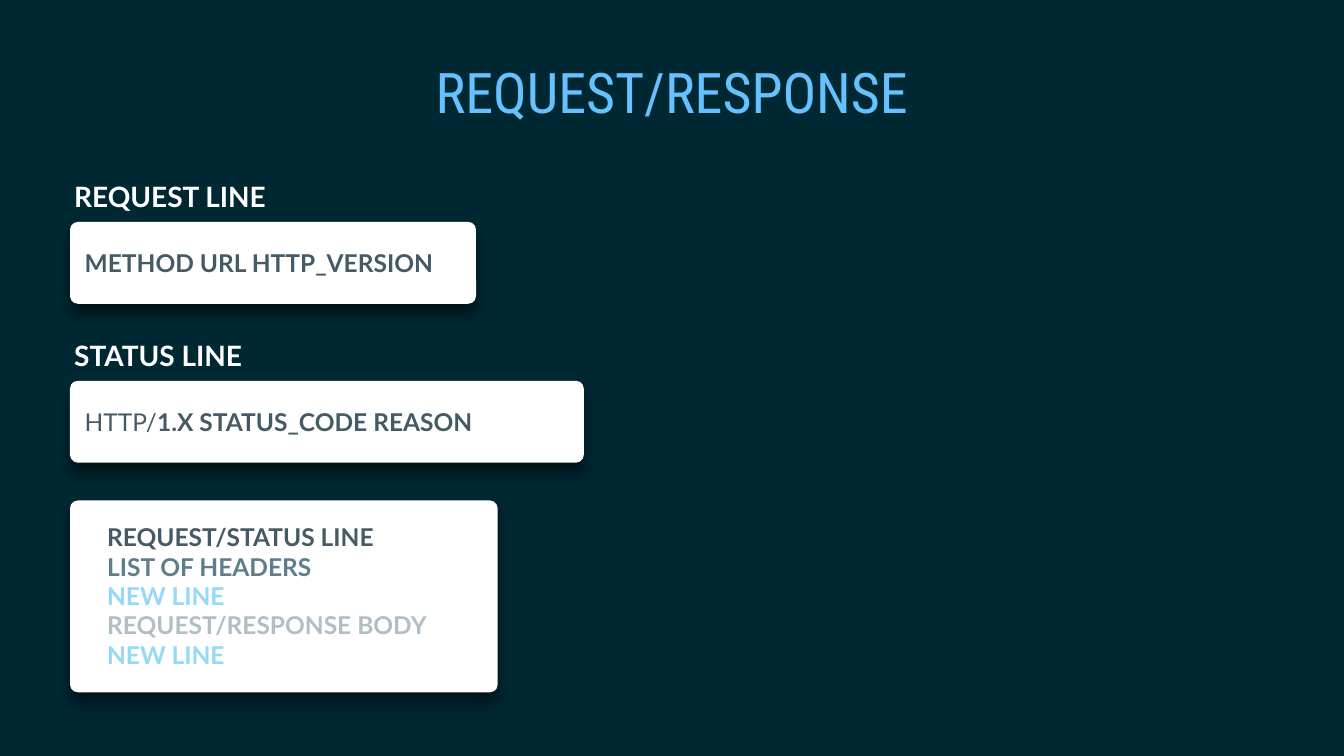
from lxml import etree
from pptx import Presentation
from pptx.dml.color import RGBColor
from pptx.enum.shapes import MSO_SHAPE as Shape
from pptx.enum.text import MSO_ANCHOR as Anchor, PP_ALIGN as Align
from pptx.oxml.ns import qn
from pptx.util import Pt

WHITE = "FFFFFF"
SLATE = "455A64"
SKY = "94D9F6"
LEFT = 100
LINE_HEIGHT = 117
CORNER = 11.2


def color(value):
    return RGBColor.from_string(value)


def add_text(slide, box, lines, size=35, font="Lato", align=Align.LEFT, spacing=None):
    shape = slide.shapes.add_textbox(*map(Pt, box))
    frame = shape.text_frame
    frame.word_wrap = True
    frame.vertical_anchor = Anchor.MIDDLE
    frame.margin_left = frame.margin_right = Pt(6)
    frame.margin_top = frame.margin_bottom = Pt(6)
    for index, runs in enumerate(lines):
        paragraph = frame.add_paragraph() if index else frame.paragraphs[0]
        paragraph.alignment = align
        if spacing:
            paragraph.line_spacing = spacing
        for text, fill, bold in runs:
            run = paragraph.add_run()
            run.text = text
            run.font.name = font
            run.font.size = Pt(size)
            run.font.bold = bold
            run.font.color.rgb = color(fill)


def add_shadow(shape):
    shape.shadow.inherit = False
    effects = shape._element.spPr.find(qn("a:effectLst"))
    shadow = etree.SubElement(effects, qn("a:outerShdw"), blurRad=str(Pt(20)),
                              dist=str(Pt(14.8)), dir="5400000", rotWithShape="0")
    tint = etree.SubElement(shadow, qn("a:srgbClr"), val="000000")
    etree.SubElement(tint, qn("a:alpha"), val="50000")


def add_card(slide, box):
    card = slide.shapes.add_shape(Shape.ROUNDED_RECTANGLE, *map(Pt, box))
    card.adjustments[0] = CORNER / min(box[2:])
    card.fill.solid()
    card.fill.fore_color.rgb = color(WHITE)
    card.line.fill.background()
    add_shadow(card)


def add_title(slide, box, text):
    add_text(slide, box, [[(text, "66C2FF", False)]], size=80,
             font="Roboto Condensed", align=Align.CENTER, spacing=0.8)


def add_line_section(slide, box, heading, runs):
    left, top, width, height = box
    add_card(slide, box)
    add_text(slide, (left + 15, top + 21, width - 30, height - 42), [runs])
    add_text(slide, (left, top - 80, 403, 88), [[(heading, WHITE, True)]], size=40)


def add_message_section(slide, box, lines):
    left, top, width, height = box
    add_card(slide, box)
    add_text(slide, (left + 47, top + 9, width - 94, height - 20),
             [[(text, fill, True)] for text, fill in lines])


def main():
    presentation = Presentation()
    presentation.slide_width, presentation.slide_height = Pt(1920), Pt(1080)
    slide = presentation.slides.add_slide(presentation.slide_layouts[6])
    slide.background.fill.solid()
    slide.background.fill.fore_color.rgb = color("002833")

    add_title(slide, (395, 88, 1130, 101), "REQUEST/RESPONSE")
    add_message_section(slide, (LEFT, 715, 611, 274), [
        ("REQUEST/STATUS LINE", SLATE),
        ("LIST OF HEADERS", "607D8B"),
        ("NEW LINE", SKY),
        ("REQUEST/RESPONSE BODY", "B0BEC5"),
        ("NEW LINE", SKY),
    ])
    add_line_section(slide, (LEFT, 317, 580, LINE_HEIGHT), "REQUEST LINE",
                     [("METHOD URL HTTP_VERSION", SLATE, True)])
    add_line_section(slide, (LEFT, 544, 734, LINE_HEIGHT), "STATUS LINE",
                     [("HTTP/", SLATE, False), ("1.X STATUS_CODE REASON", SLATE, True)])
    presentation.save("out.pptx")


if __name__ == "__main__":
    main()
